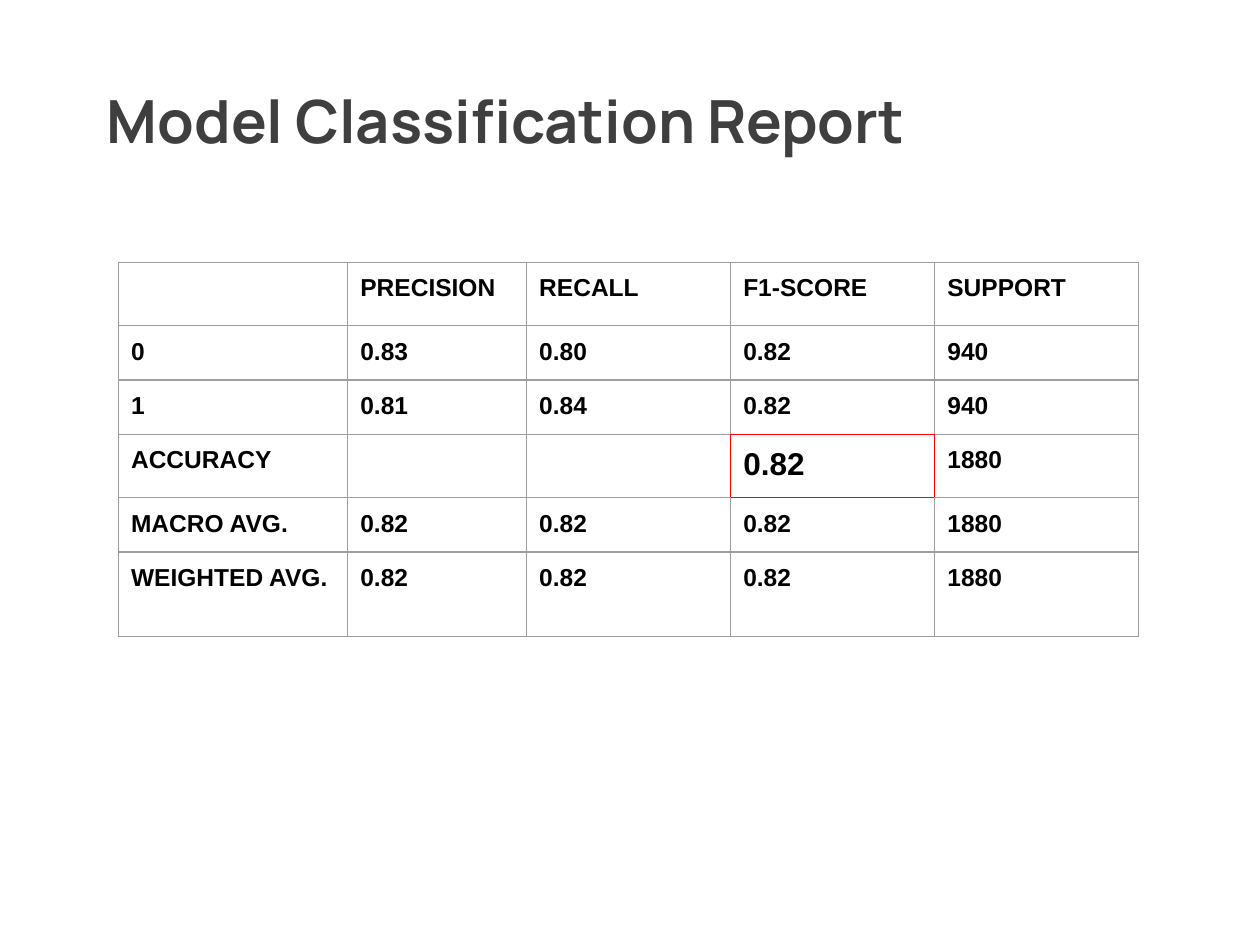
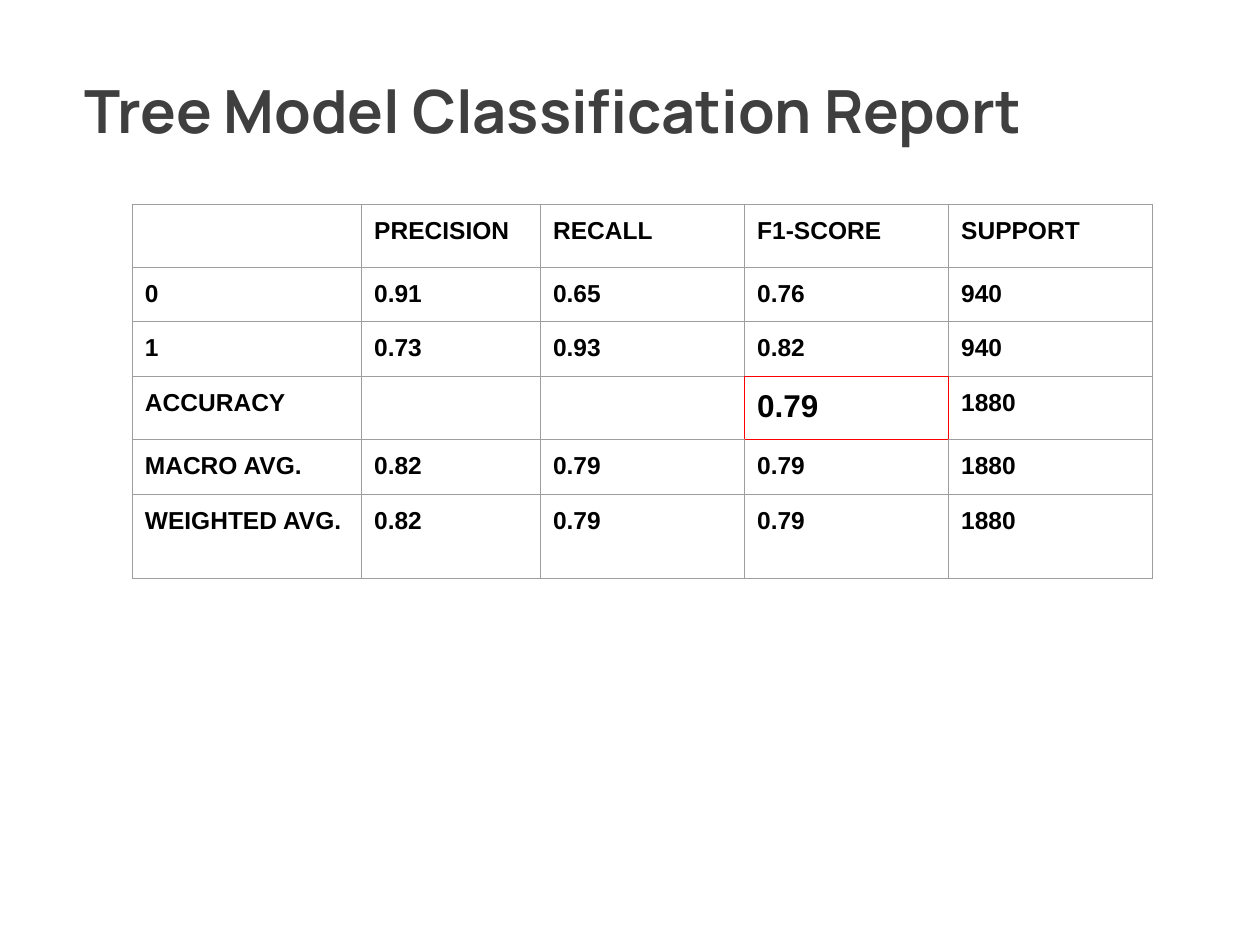
from lxml.etree import SubElement
from pptx import Presentation
from pptx.dml.color import RGBColor
from pptx.enum.text import MSO_ANCHOR
from pptx.oxml.ns import qn
from pptx.util import Inches, Pt

HEADINGS = ["", "PRECISION", "RECALL", "F1-SCORE", "SUPPORT"]
REPORTS = [
    {
        "title": "Model Classification Report",
        "title_at": (0.75, 0.62),
        "scores_at": (0.94, 2.08),
        "scores": [
            ["0", "0.83", "0.80", "0.82", "940"],
            ["1", "0.81", "0.84", "0.82", "940"],
            ["ACCURACY", "", "", "0.82", "1880"],
            ["MACRO AVG.", "0.82", "0.82", "0.82", "1880"],
            ["WEIGHTED AVG.", "0.82", "0.82", "0.82", "1880"],
        ],
    },
    {
        "title": "Tree Model Classification Report",
        "title_at": (0.57, 0.54),
        "scores_at": (1.05, 1.62),
        "scores": [
            ["0", "0.91", "0.65", "0.76", "940"],
            ["1", "0.73", "0.93", "0.82", "940"],
            ["ACCURACY", "", "", "0.79", "1880"],
            ["MACRO AVG.", "0.82", "0.79", "0.79", "1880"],
            ["WEIGHTED AVG.", "0.82", "0.79", "0.79", "1880"],
        ],
    },
]

TITLE_COLOR, TEXT_COLOR = "3F3F3F", "000000"
GRID_COLOR, ACCURACY_COLOR = "9E9E9E", "FF0000"
TITLE_SIZE = (8.48, 1.15)
COLUMN_WIDTHS = [1.82, 1.42, 1.62, 1.62, 1.62]
ROW_HEIGHTS = [0.43] * 5 + [0.67]
CELL_MARGIN = 0.1
ACCURACY_CELL = (3, 3)
# Border tag and the step to the cell that shares that edge
EDGES = {"a:lnL": (0, -1), "a:lnR": (0, 1), "a:lnT": (-1, 0), "a:lnB": (1, 0)}


def rgb(hex_color):
    return RGBColor.from_string(hex_color)


def add_bold_run(paragraph, text, font_name, size, color):
    run = paragraph.add_run()
    run.text = text
    run.font.name = font_name
    run.font.size = Pt(size)
    run.font.bold = True
    run.font.color.rgb = rgb(color)


def add_title(slide, text, position):
    left, top = position
    width, height = TITLE_SIZE
    title = slide.shapes.add_textbox(Inches(left), Inches(top), Inches(width), Inches(height))
    frame = title.text_frame
    frame.word_wrap = True
    frame.vertical_anchor = MSO_ANCHOR.TOP
    add_bold_run(frame.paragraphs[0], text, "Manrope", 34, TITLE_COLOR)


def draw_borders(cell, row, column):
    """Outline a cell in grey, and in red wherever it meets the accuracy score."""
    properties = cell._tc.get_or_add_tcPr()
    for tag, (down, across) in EDGES.items():
        touching = [(row, column), (row + down, column + across)]
        color = ACCURACY_COLOR if ACCURACY_CELL in touching else GRID_COLOR
        line = SubElement(properties, qn(tag), w=str(Pt(0.75)))
        fill = SubElement(line, qn("a:solidFill"))
        SubElement(fill, qn("a:srgbClr"), val=color)


def fill_cell(cell, text, row, column):
    cell.margin_left = cell.margin_right = Inches(CELL_MARGIN)
    cell.margin_top = cell.margin_bottom = Inches(CELL_MARGIN)
    draw_borders(cell, row, column)
    cell.fill.background()
    if text:
        size = 18 if (row, column) == ACCURACY_CELL else 14
        add_bold_run(cell.text_frame.paragraphs[0], text, "Arial", size, TEXT_COLOR)


def add_scores(slide, scores, position):
    left, top = position
    rows = [HEADINGS] + scores
    table = slide.shapes.add_table(
        len(rows), len(HEADINGS), Inches(left), Inches(top),
        Inches(sum(COLUMN_WIDTHS)), Inches(sum(ROW_HEIGHTS)),
    ).table
    table.first_row = table.horz_banding = False
    for column, width in zip(table.columns, COLUMN_WIDTHS):
        column.width = Inches(width)
    for row, height in zip(table.rows, ROW_HEIGHTS):
        row.height = Inches(height)
    for r, texts in enumerate(rows):
        for c, text in enumerate(texts):
            fill_cell(table.cell(r, c), text, r, c)


def main():
    deck = Presentation()
    deck.slide_width, deck.slide_height = Inches(10), Inches(7.5)
    for report in REPORTS:
        slide = deck.slides.add_slide(deck.slide_layouts[6])
        add_scores(slide, report["scores"], report["scores_at"])
        add_title(slide, report["title"], report["title_at"])
    deck.save("out.pptx")


if __name__ == "__main__":
    main()
